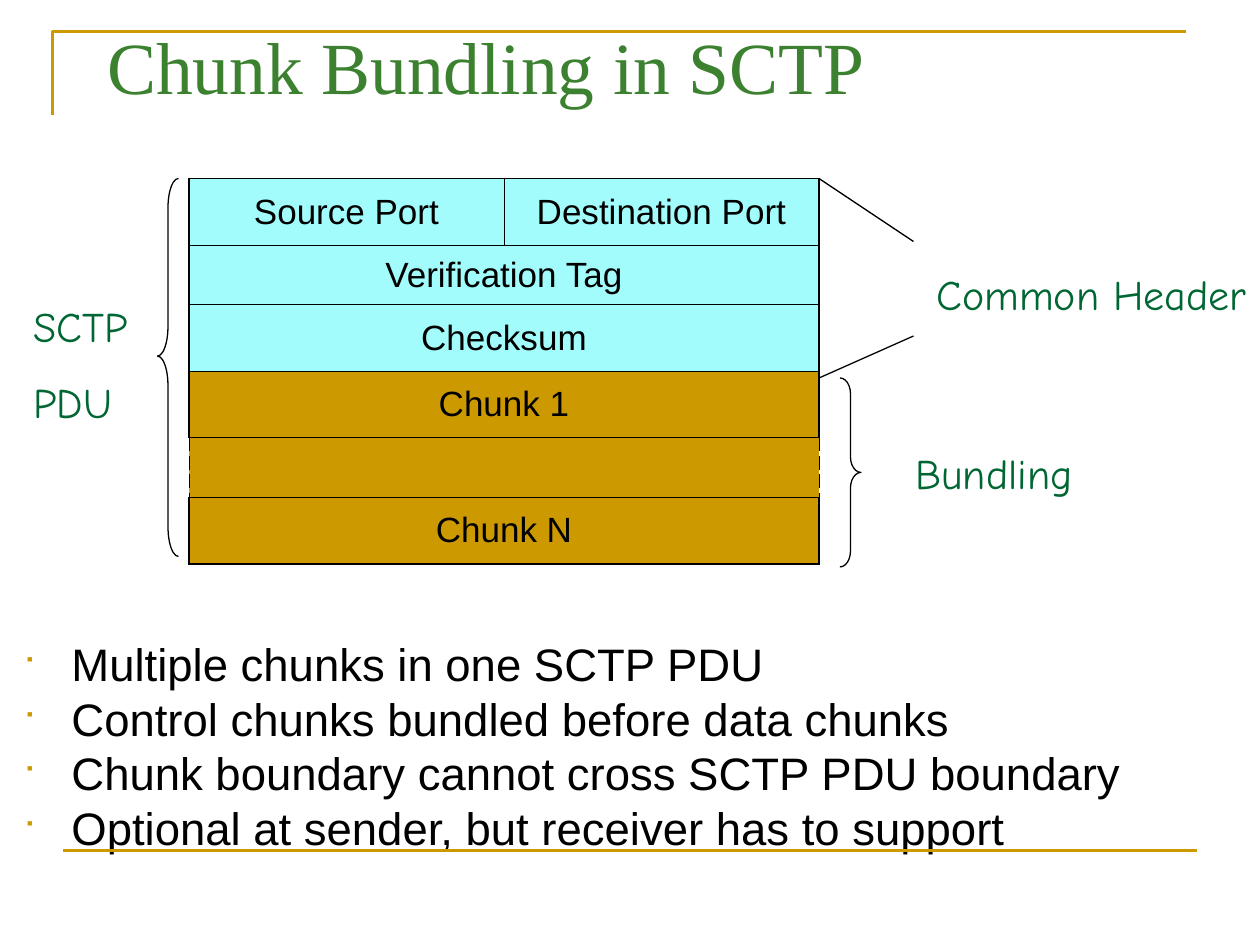
import pptx
import pptx.dml.color
import pptx.enum.shapes
import pptx.enum.text
import pptx.oxml
import pptx.oxml.ns
import pptx.util

EMU_PER_PX = 7620
COLORS = {
    "gold": "CC9900",
    "title": "3B812F",
    "label": "006633",
    "header": "A2FCFC",
    "black": "000000",
}
ROWS = [
    (("Source Port", "Destination Port"), 64, "header"),
    (("Verification Tag",), 56, "header"),
    (("Checksum",), 64, "header"),
    (("Chunk 1",), 63, "gold"),
    (("",), 57, "gold"),
    (("Chunk N",), 63, "gold"),
]
BULLETS = [
    "Multiple chunks in one SCTP PDU",
    "Control chunks bundled before data chunks",
    "Chunk boundary cannot cross SCTP PDU boundary",
    "Optional at sender, but receiver has to support",
]
LABELS = [
    (["Common Header"], (880, 250, 330, 60)),
    (["Bundling"], (860, 420, 200, 60)),
    (["SCTP", "PDU"], (20, 280, 200, 133)),
]
MSO_SHAPE = pptx.enum.shapes.MSO_SHAPE
BRACES = [
    (MSO_SHAPE.RIGHT_BRACE, (800, 360, 20, 180), (0.75, 0.5)),
    (MSO_SHAPE.LEFT_BRACE, (150, 170, 20, 360), (1.41, 0.47)),
]
CALLOUT_LINES = [((780, 170), (870, 230)), ((780, 360), (870, 320))]


def px(*lengths):
    """Turn px lengths into a list of EMU lengths."""
    return [pptx.util.Emu(length * EMU_PER_PX) for length in lengths]


def rgb(name):
    """Look up a named colour."""
    return pptx.dml.color.RGBColor.from_string(COLORS[name])


def add_xml(parent, tag, content="", **attributes):
    """Append a DrawingML element to a parent element."""
    pairs = "".join(f' {key}="{value}"' for key, value in attributes.items())
    namespace = pptx.oxml.ns.nsdecls("a")
    parent.append(pptx.oxml.parse_xml(f"<a:{tag} {namespace}{pairs}>{content}</a:{tag}>"))


def set_bullet(paragraph):
    """Give a paragraph a hanging gold square bullet."""
    properties = paragraph._p.get_or_add_pPr()
    indent = px(46)[0]
    properties.set("marL", str(indent))
    properties.set("indent", str(-indent))
    add_xml(properties, "buClr", f'<a:srgbClr val="{COLORS["gold"]}"/>')
    add_xml(properties, "buSzPct", val=65000)
    add_xml(properties, "buFont", typeface="Wingdings")
    add_xml(properties, "buChar", char="■")


def write_text(frame, lines, size, font="Arial", color="black", align="LEFT",
               anchor="TOP", gap=0, bullet=False, fit="NONE"):
    """Fill a text frame with formatted paragraphs."""
    frame.word_wrap = True
    frame.vertical_anchor = pptx.enum.text.MSO_ANCHOR[anchor]
    if fit:
        frame.auto_size = pptx.enum.text.MSO_AUTO_SIZE[fit]
    for index, line in enumerate(lines):
        paragraph = frame.add_paragraph() if index else frame.paragraphs[0]
        paragraph.alignment = pptx.enum.text.PP_ALIGN[align]
        paragraph.space_before = pptx.util.Pt(gap if index else 0)
        if bullet:
            set_bullet(paragraph)
        paragraph.text = line
        paragraph.font.size = pptx.util.Pt(size)
        paragraph.font.name = font
        paragraph.font.color.rgb = rgb(color)


def fill_placeholder(placeholder, box, lines, **text_format):
    """Move a placeholder and write its text."""
    placeholder.left, placeholder.top, placeholder.width, placeholder.height = px(*box)
    write_text(placeholder.text_frame, lines, **text_format)


def set_line(shape, color, width):
    """Set the line colour and width of a shape."""
    shape.line.color.rgb = rgb(color)
    shape.line.width = pptx.util.Pt(width)


def add_line(slide, start, end, color="black", width=0.75):
    """Add a straight line without a shadow."""
    connector = slide.shapes.add_connector(
        pptx.enum.shapes.MSO_CONNECTOR.STRAIGHT, *px(*start, *end))
    set_line(connector, color, width)
    add_xml(connector._element.spPr, "effectLst")


def add_corner(slide):
    """Add the gold corner line above the title."""
    builder = slide.shapes.build_freeform(50, 110, scale=EMU_PER_PX)
    builder.add_line_segments([(50, 30), (1130, 30)], close=False)
    corner = builder.convert_to_shape()
    corner.shadow.inherit = False
    corner.fill.background()
    set_line(corner, "gold", 1.5)


def add_brace(slide, kind, box, adjustments):
    """Add a thin curly brace."""
    brace = slide.shapes.add_shape(kind, *px(*box))
    brace.shadow.inherit = False
    brace.fill.background()
    set_line(brace, "black", 0.75)
    for index, value in enumerate(adjustments):
        brace.adjustments[index] = value


def add_label(slide, lines, box):
    """Add a green handwritten label."""
    label = slide.shapes.add_textbox(*px(*box))
    write_text(label.text_frame, lines, 24, font="Comic Neue", color="label",
               gap=15, fit="SHAPE_TO_FIT_TEXT")


def set_borders(cell, widths, dashed_sides):
    """Draw the four cell borders, with dashed sides on request."""
    properties = cell._tc.get_or_add_tcPr()
    for side, width in zip("LRTB", widths):
        dash = "dash" if dashed_sides and side in "LR" else "solid"
        content = (f'<a:solidFill><a:srgbClr val="{COLORS["black"]}"/></a:solidFill>'
                   f'<a:prstDash val="{dash}"/>')
        add_xml(properties, f"ln{side}", content, w=int(pptx.util.Pt(width)))


def add_packet_table(slide):
    """Add the table of packet fields and chunks."""
    thick, thin = 1.08, 0.45
    height = sum(row[1] for row in ROWS)
    table = slide.shapes.add_table(len(ROWS), 2, *px(180, 170, 600, height)).table
    table.first_row = table.horz_banding = False
    last = len(ROWS) - 1
    for row, (texts, row_height, color) in enumerate(ROWS):
        table.rows[row].height = px(row_height)[0]
        elided = not texts[0]
        side = thin if elided else thick
        top = thick if row == 0 else thin
        bottom = thick if row == last else thin
        if len(texts) == 1:
            table.cell(row, 0).merge(table.cell(row, 1))
        for column in range(2):
            cell = table.cell(row, column)
            left = side if column == 0 else thin
            right = side if column == 1 or len(texts) == 1 else thin
            set_borders(cell, (left, right, top, bottom), elided)
            cell.fill.solid()
            cell.fill.fore_color.rgb = rgb(color)
            cell.vertical_anchor = pptx.enum.text.MSO_ANCHOR.MIDDLE
        for column, text in enumerate(texts):
            cell = table.cell(row, column)
            write_text(cell.text_frame, [text], 20, align="CENTER",
                       anchor="MIDDLE", fit=None)


def main():
    """Build and save the slide."""
    presentation = pptx.Presentation()
    presentation.slide_width, presentation.slide_height = px(1200, 900)
    slide = presentation.slides.add_slide(presentation.slide_layouts[1])
    fill_placeholder(slide.shapes.title, (90, 10, 1020, 104), ["Chunk Bundling in SCTP"],
                     size=42, font="Times New Roman", color="title", anchor="MIDDLE")
    fill_placeholder(slide.placeholders[1], (10, 600, 1190, 270), BULLETS,
                     size=26, bullet=True)
    add_corner(slide)
    add_line(slide, (60, 810), (1140, 810), "gold", 1.5)
    add_packet_table(slide)
    for start, end in CALLOUT_LINES:
        add_line(slide, start, end)
    for kind, box, adjustments in BRACES:
        add_brace(slide, kind, box, adjustments)
    for lines, box in LABELS:
        add_label(slide, lines, box)
    presentation.save("out.pptx")


if __name__ == "__main__":
    main()
